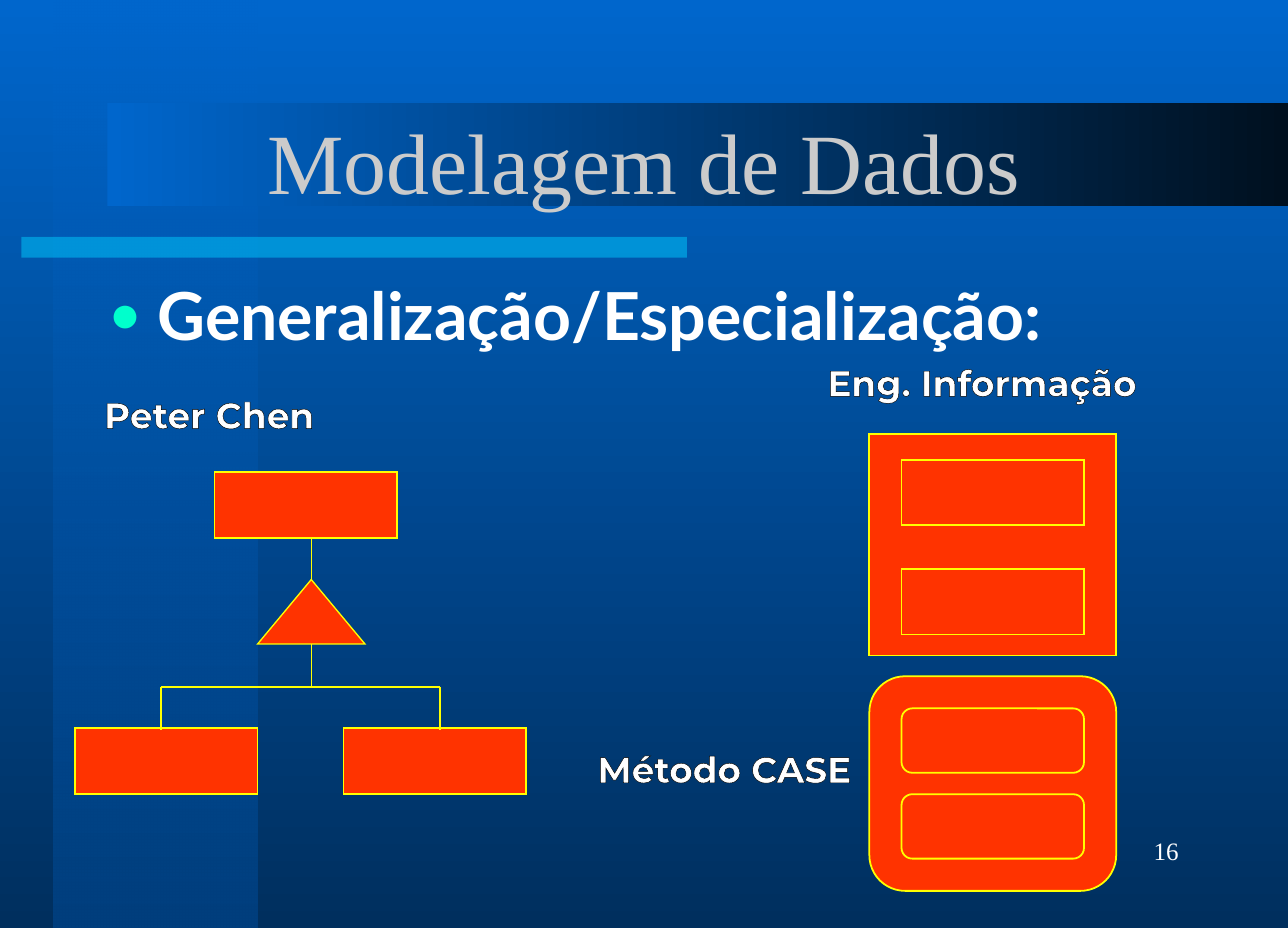
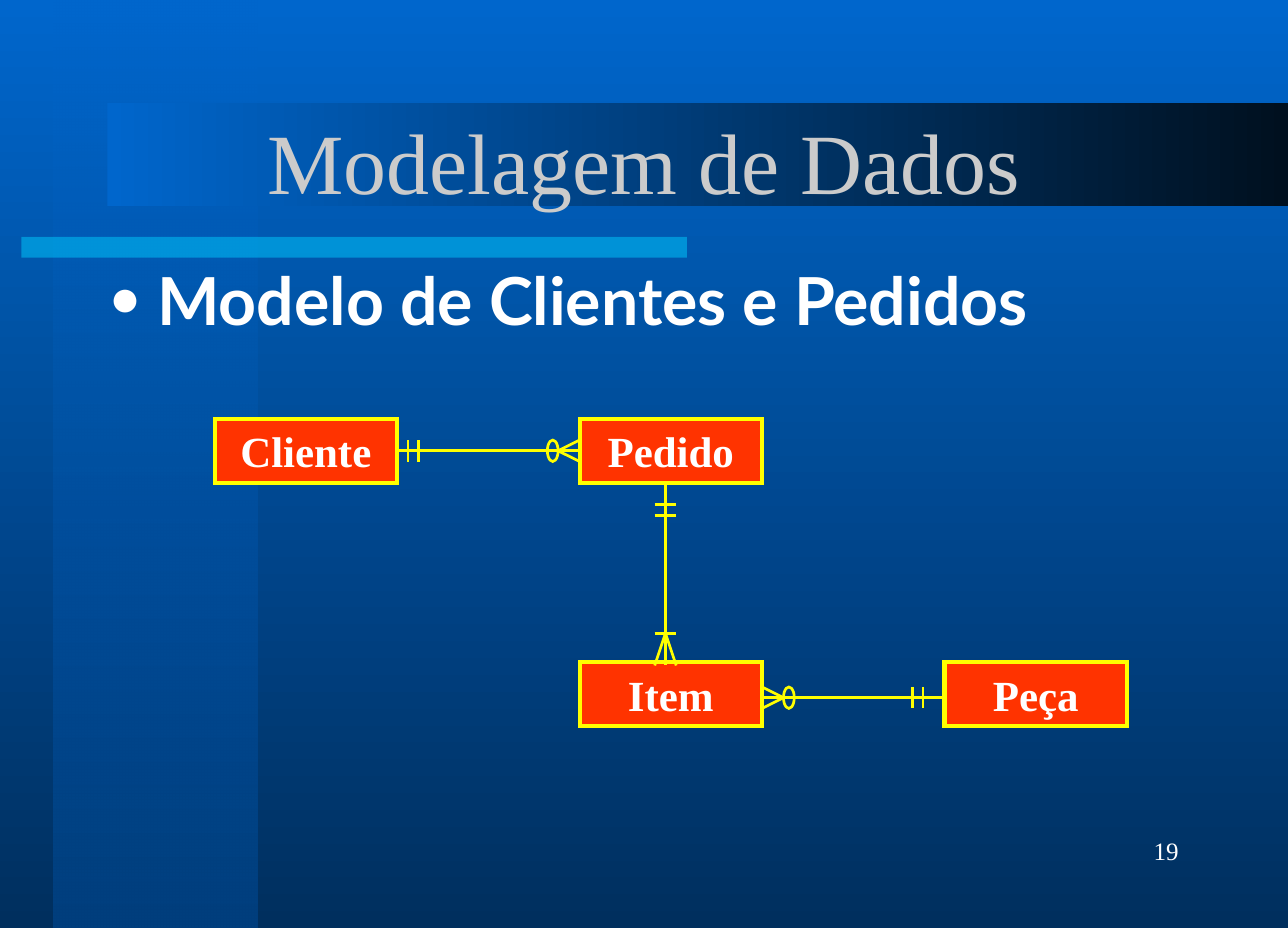
"""Build two data-modelling slides: generalization notations and an orders model."""
from dataclasses import dataclass

from lxml import etree
from pptx import Presentation
from pptx import util as u
from pptx.dml import color
from pptx.enum import shapes, text
from pptx.oxml import ns


@dataclass(frozen=True)
class Theme:
    sky: str = "0066CC"
    deep: str = "002F5E"
    stripe: str = "003F7E"
    night: str = "00101F"
    bar: str = "00CCFF"
    mint: str = "00FFCC"
    entity: str = "FF3300"
    outline: str = "FFFF00"
    white: str = "FFFFFF"
    black: str = "000000"
    title: str = "CBCBCB"
    serif: str = "Times New Roman"
    heading: str = "Lato"
    label: str = "Montserrat"
    title_size: float = 48
    heading_size: float = 37
    entity_size: float = 24
    label_size: float = 20
    number_size: float = 14


THEME = Theme()
WIDTH, HEIGHT = 720, 518.75
RECTANGLE = shapes.MSO_SHAPE.RECTANGLE
ROUNDED = shapes.MSO_SHAPE.FLOWCHART_ALTERNATE_PROCESS
RIGHT, LEFT, UP, DOWN = (1, 0), (-1, 0), (0, -1), (0, 1)


def rgb(value):
    return color.RGBColor.from_string(value)


def child(parent, tag, **attributes):
    return etree.SubElement(parent, ns.qn(tag), attributes)


def gradient(fill, start, end, angle):
    fill.gradient()
    fill.gradient_angle = angle
    for stop, value in zip(fill.gradient_stops, (start, end)):
        stop.color.rgb = rgb(value)


def write(shape, content, size, font, ink=THEME.white, bold=False, align="CENTER",
          anchor="TOP", wrap=True, bullet=None, spacing=None, outline=None):
    frame = shape.text_frame
    frame.auto_size = text.MSO_AUTO_SIZE.NONE
    frame.word_wrap = wrap
    frame.vertical_anchor = getattr(text.MSO_ANCHOR, anchor)
    paragraph = frame.paragraphs[0]
    if bullet:
        properties = paragraph._p.get_or_add_pPr()
        properties.set("marL", str(u.Pt(27)))
        properties.set("indent", str(u.Pt(-27)))
        child(child(properties, "a:buClr"), "a:srgbClr", val=bullet)
        child(properties, "a:buSzPct", val="80000")
        child(properties, "a:buFont", typeface=THEME.serif)
        child(properties, "a:buChar", char="●")
    paragraph.alignment = getattr(text.PP_ALIGN, align)
    if spacing:
        paragraph.line_spacing = spacing
    run = paragraph.add_run()
    run.text = content
    run.font.size = u.Pt(size)
    run.font.name = font
    run.font.bold = bold
    run.font.color.rgb = rgb(ink)
    if outline:
        properties = run._r.get_or_add_rPr()
        line = child(properties, "a:ln", w=str(u.Pt(0.75)))
        child(child(line, "a:solidFill"), "a:srgbClr", val=outline)
        properties.insert(0, line)


class Deck:
    """Hold the style and the current slide, and draw each kind of element."""

    def __init__(self, theme):
        self.theme = theme
        self.presentation = Presentation()
        self.presentation.slide_width = u.Pt(WIDTH)
        self.presentation.slide_height = u.Pt(HEIGHT)
        self.slide = None

    def start(self, title, number):
        theme = self.theme
        self.slide = self.presentation.slides.add_slide(self.presentation.slide_layouts[5])
        gradient(self.slide.background.fill, theme.sky, theme.deep, 270)

        stripe = self.shape(RECTANGLE, 30, 0, 114.25, HEIGHT, width=0)
        gradient(stripe.fill, theme.sky, theme.stripe, 270)
        self.fade(stripe)
        self.fade(self.shape(RECTANGLE, 12, 132.5, 372, 11.5, theme.bar, width=0))
        band = self.shape(RECTANGLE, 60, 57.6, 660, 57.6, width=0)
        gradient(band.fill, theme.sky, theme.night, 0)

        self.write_box(str(number), 516, 449.5, 150, 51.8, size=theme.number_size,
                       font=theme.serif, align="RIGHT", anchor="MIDDLE", wrap=False)
        placeholder = self.slide.shapes.title
        self.slide.shapes.element.append(placeholder.element)
        placeholder.left, placeholder.top = u.Pt(54), u.Pt(46.25)
        placeholder.width, placeholder.height = u.Pt(612), u.Pt(86.4)
        write(placeholder, title, theme.title_size, theme.serif, theme.title, anchor="MIDDLE")

    def fade(self, shape):
        child(shape.element.spPr.xpath(".//a:srgbClr")[0], "a:alpha", val="50000")

    def shape(self, kind, left, top, wide, high, fill=None, width=1.0):
        shape = self.slide.shapes.add_shape(kind, u.Pt(left), u.Pt(top), u.Pt(wide), u.Pt(high))
        shape.shadow.inherit = False
        if fill:
            shape.fill.solid()
            shape.fill.fore_color.rgb = rgb(fill)
        else:
            shape.fill.background()
        if width:
            shape.line.color.rgb = rgb(self.theme.outline)
            shape.line.width = u.Pt(width)
            child(shape.element.spPr.xpath("a:ln")[0], "a:miter", lim="800000")
        else:
            shape.line.fill.background()
        return shape

    def block(self, left, top, wide=102, high=36.75, kind=RECTANGLE, width=1.0):
        return self.shape(kind, left, top, wide, high, self.theme.entity, width)

    def entity(self, name, left, top):
        write(self.block(left, top, high=36, width=2.25), name,
              self.theme.entity_size, self.theme.serif, bold=True)

    def write_box(self, content, left, top, wide, high, **style):
        box = self.slide.shapes.add_textbox(u.Pt(left), u.Pt(top), u.Pt(wide), u.Pt(high))
        write(box, content, **style)

    def heading(self, content, bullet, spacing=None):
        self.write_box(content, 54, 150, 612, 60, size=self.theme.heading_size,
                       font=self.theme.heading, bold=True, align="LEFT",
                       bullet=bullet, spacing=spacing)

    def label(self, content, left, top, wide, high=24):
        self.write_box(content, left, top, wide, high, size=self.theme.label_size,
                       font=self.theme.label, bold=True, wrap=False,
                       outline=self.theme.black)

    def line(self, x1, y1, x2, y2, width=1.5):
        line = self.slide.shapes.add_connector(
            shapes.MSO_CONNECTOR.STRAIGHT, u.Pt(x1), u.Pt(y1), u.Pt(x2), u.Pt(y2))
        line.line.color.rgb = rgb(self.theme.outline)
        line.line.width = u.Pt(width)
        child(line.element.spPr, "a:effectLst")

    def bars(self, x, y, direction, *offsets):
        dx, dy = direction
        for offset in offsets:
            across, along = x + dx * offset, y + dy * offset
            self.line(across - abs(dy) * 6, along - abs(dx) * 6,
                      across + abs(dy) * 6, along + abs(dx) * 6)

    def crow_foot(self, x, y, direction, length):
        dx, dy = direction
        for side in (-6, 6):
            self.line(x + dx * length, y + dy * length, x + dy * side, y + dx * side)

    def optional_many(self, x, y, direction):
        self.crow_foot(x, y, direction, 12)
        self.shape(shapes.MSO_SHAPE.OVAL, x + direction[0] * 15 - 3, y - 6, 6, 12, width=1.5)


def generalization_slide(deck):
    deck.start("Modelagem de Dados", 16)
    deck.heading("Generalização/Especialização:", deck.theme.mint)
    deck.label("Peter Chen", 66, 216, 102)
    deck.label("Eng. Informação", 486, 198, 126, 36)
    deck.label("Método CASE", 348, 414, 114)

    deck.block(486, 242.5, 138, 124)
    for top in (257, 318):
        deck.block(504, top)
    deck.block(486, 378, 138, 120, ROUNDED)
    for top in (396, 444):
        deck.block(504, top, high=36, kind=ROUNDED)

    for left, top in ((120, 264), (42, 407), (192, 407)):
        deck.block(left, top)
    deck.block(144, 324, 60, 36, shapes.MSO_SHAPE.ISOSCELES_TRIANGLE, 0.75)
    for ends in ((174, 324, 174, 300), (174, 360, 174, 384), (90, 384, 246, 384),
                 (90, 384, 90, 408), (246, 384, 246, 408)):
        deck.line(*ends, width=0.75)


def orders_slide(deck):
    deck.start("Modelagem de Dados", 19)
    deck.heading("Modelo de Clientes e Pedidos", deck.theme.white, 0.8)
    for name, left, top in (("Cliente", 120, 234), ("Pedido", 324, 234),
                            ("Item", 324, 370), ("Peça", 528, 370)):
        deck.entity(name, left, top)

    deck.line(222, 252, 324, 252)
    deck.bars(222, 252, RIGHT, 6, 12)
    deck.optional_many(324, 252, LEFT)

    deck.line(426, 390, 528, 390)
    deck.bars(528, 390, LEFT, 12, 18)
    deck.optional_many(426, 390, RIGHT)

    deck.line(372, 270, 372, 372)
    deck.bars(372, 270, DOWN, 12, 18)
    deck.bars(372, 372, UP, 18)
    deck.crow_foot(372, 372, UP, 18)


def main():
    deck = Deck(THEME)
    generalization_slide(deck)
    orders_slide(deck)
    deck.presentation.save("out.pptx")


if __name__ == "__main__":
    main()
